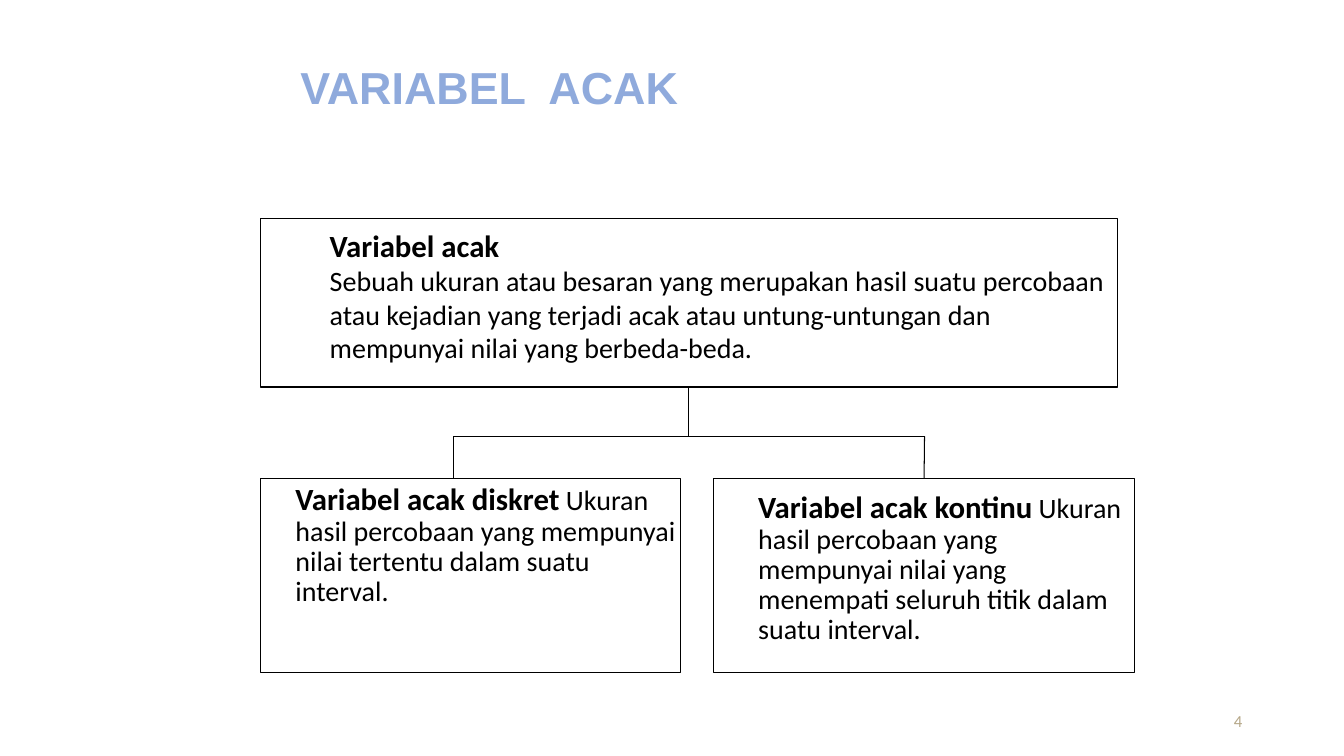
from lxml import etree
from pptx import Presentation
from pptx.dml.color import RGBColor
from pptx.enum import shapes, text
from pptx.oxml import ns
from pptx.util import Inches, Pt

COLORS = {"title": "8FAADC", "ink": "000000", "number": "B5A788"}

presentation = Presentation()
presentation.slide_width = Inches(13.33)
presentation.slide_height = Inches(7.5)
slide = presentation.slides.add_slide(presentation.slide_layouts[6])


def add_text(box, paragraphs, indent=0, line_spacing=None):
    """Add a text box; each paragraph is a list of (words, size, bold, font, color)."""
    frame = slide.shapes.add_textbox(*map(Inches, box)).text_frame
    frame.word_wrap = True
    frame.margin_left = Inches(0.1 + indent)
    for index, runs in enumerate(paragraphs):
        paragraph = frame.add_paragraph() if index else frame.paragraphs[0]
        paragraph.line_spacing = line_spacing
        for words, size, bold, font, color in runs:
            run = paragraph.add_run()
            run.text = words
            run.font.size = Pt(size)
            run.font.bold = bold
            run.font.name = font
            run.font.color.rgb = RGBColor.from_string(COLORS[color])
    return frame


def add_line(start, end):
    line = slide.shapes.add_connector(
        shapes.MSO_CONNECTOR.STRAIGHT, *map(Inches, start + end))
    line.line.color.rgb = RGBColor.from_string(COLORS["ink"])
    line.line.width = Pt(0.75)
    etree.SubElement(line._element.spPr, ns.qn("a:effectLst"))
    return line


# Title and slide number
add_text((2.88, 0.54, 8.17, 0.64), [[("VARIABEL  ACAK", 32, True, "Arial", "title")]])
number = add_text((9.42, 6.95, 3, 0.4), [[("4", 12, False, "Calibri", "number")]])
number.vertical_anchor = text.MSO_ANCHOR.MIDDLE
number.paragraphs[0].alignment = text.PP_ALIGN.RIGHT

# Definitions
heading = ("Variabel acak", 22, True, "Calibri", "ink")
definition = ("Sebuah ukuran atau besaran yang merupakan hasil suatu percobaan atau "
              "kejadian yang terjadi acak atau untung-untungan dan mempunyai nilai "
              "yang berbeda-beda.", 20, False, "Calibri", "ink")
add_text((2.67, 2.2, 8.42, 1.47), [[heading], [definition]], indent=0.5)

kinds = [
    ((2.58, 4.75, 4.25, 2), "Variabel acak diskret",
     " Ukuran hasil percobaan yang mempunyai nilai tertentu dalam suatu interval."),
    ((7.17, 4.83, 4.17, 2.04), "Variabel acak kontinu",
     " Ukuran hasil percobaan yang mempunyai nilai yang menempati seluruh titik "
     "dalam suatu interval."),
]
for box, name, meaning in kinds:
    add_text(box, [[(name, 22, True, "Calibri", "ink"),
                    (meaning, 20, False, "Calibri", "ink")]],
             indent=0.25, line_spacing=0.9)

# Frames
frames = []
for box in [(2.58, 2.17, 8.5, 1.67), (2.58, 4.75, 4.17, 1.92), (7.08, 4.75, 4.17, 1.92)]:
    shape = slide.shapes.add_shape(shapes.MSO_SHAPE.RECTANGLE, *map(Inches, box))
    shape.shadow.inherit = False
    shape.fill.background()
    shape.line.color.rgb = RGBColor.from_string(COLORS["ink"])
    shape.line.width = Pt(0.75)
    frames.append(shape)
parent, discrete, continuous = frames

# Tree lines
trunk_x, left_x, right_x = 6.83, 4.5, 9.17
branch_y, child_y = 4.33, 4.75
trunk = add_line((trunk_x, 3.84), (trunk_x, branch_y))
trunk.begin_connect(parent, 2)
add_line((left_x, branch_y), (right_x, branch_y))
add_line((left_x, branch_y), (left_x, child_y))
right_branch = add_line((right_x, branch_y), (right_x, child_y))
right_branch.end_connect(continuous, 0)

presentation.save("out.pptx")
